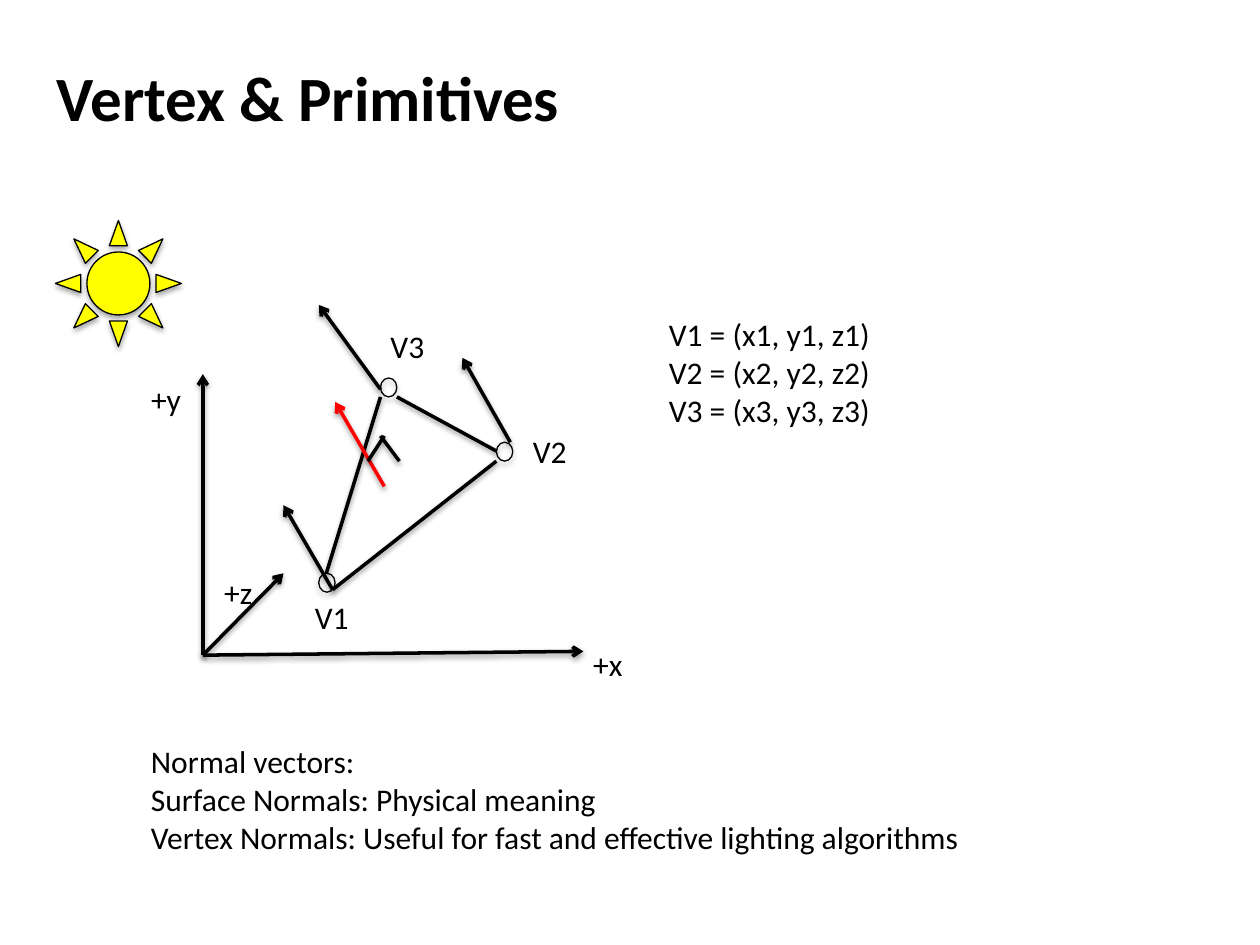
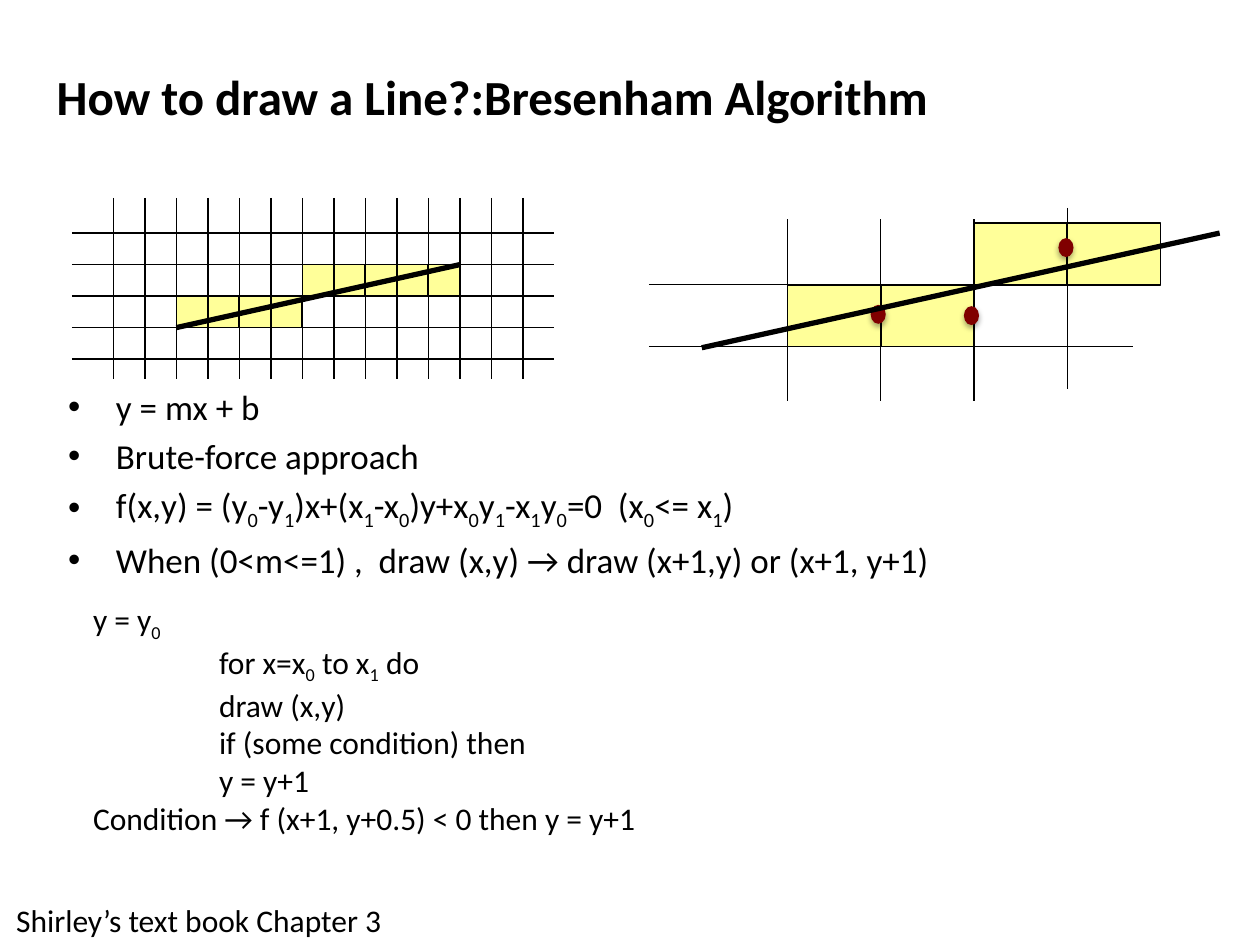
from dataclasses import dataclass

from lxml.etree import SubElement
from pptx import Presentation
from pptx.dml.color import RGBColor
from pptx.enum.shapes import MSO_CONNECTOR, MSO_SHAPE
from pptx.enum.text import MSO_ANCHOR, MSO_AUTO_SIZE, PP_ALIGN
from pptx.oxml.ns import qn
from pptx.util import Inches, Pt


@dataclass(frozen=True)
class Theme:
    font: str = "Calibri"
    ink: str = "000000"
    surface_normal: str = "FF0000"
    sun: str = "FFFF00"
    pixel: str = "FFFF99"
    midpoint: str = "800000"
    title_size: int = 36
    long_title_size: int = 28
    bullet_size: int = 20
    text_size: int = 18
    hairline: float = 0.75
    cell_line: float = 1
    edge_line: float = 2
    bold_line: float = 3


@dataclass(frozen=True)
class Box:
    left: float
    top: float
    width: float
    height: float

    def point(self, x, y):
        return self.left + x, self.top + y

    def inner(self, x, y, width, height):
        return Box(self.left + x, self.top + y, width, height)

    def lengths(self):
        return [Inches(n) for n in (self.left, self.top, self.width, self.height)]


THEME = Theme()
TITLE_BOX = Box(0.35, 0.35, 9, 0.83)


def set_effects(shape, soft_shadow, strength=38, distance=1.6):
    effects = SubElement(shape._element.spPr, qn("a:effectLst"))
    if soft_shadow:
        shadow = SubElement(effects, qn("a:outerShdw"), blurRad=str(Pt(3.1)),
                            dist=str(Pt(distance)), dir="5400000", rotWithShape="0")
        color = SubElement(shadow, qn("a:srgbClr"), val=THEME.ink)
        SubElement(color, qn("a:alpha"), val=str(strength * 1000))


def draw_line(page, start, end, weight, color=THEME.ink, arrow=False, soft_shadow=False):
    ends = [Inches(n) for n in (*start, *end)]
    line = page.shapes.add_connector(MSO_CONNECTOR.STRAIGHT, *ends)
    line.line.color.rgb = RGBColor.from_string(color)
    line.line.width = Pt(weight)
    if arrow:
        SubElement(line.line._get_or_add_ln(), qn("a:tailEnd"), type="arrow")
    set_effects(line, soft_shadow)


def draw_shape(page, kind, box, fill=None, weight=None, soft_shadow=False):
    shape = page.shapes.add_shape(kind, *box.lengths())
    if fill:
        shape.fill.solid()
        shape.fill.fore_color.rgb = RGBColor.from_string(fill)
    else:
        shape.fill.background()
    if weight:
        shape.line.color.rgb = RGBColor.from_string(THEME.ink)
        shape.line.width = Pt(weight)
    else:
        shape.line.fill.background()
    set_effects(shape, soft_shadow, strength=35, distance=1.8)


def format_span(span, size, bold=False):
    span.font.name = THEME.font
    span.font.size = Pt(size)
    span.font.bold = bold
    span.font.color.rgb = RGBColor.from_string(THEME.ink)


def write_formula(para, formula, size):
    first, *rest = formula.split("_")
    pieces = [(first, False)]
    for piece in rest:
        pieces += [(piece[0], True), (piece[1:], False)]
    for text, lowered in pieces:
        if text:
            span = para.add_run()
            span.text = text
            format_span(span, size)
            if lowered:
                span._r.get_or_add_rPr().set("baseline", "-25000")


def write_lines(frame, lines, size):
    for index, line in enumerate(lines):
        para = frame.add_paragraph() if index else frame.paragraphs[0]
        write_formula(para, line, size)


def add_text(page, box, lines, wrap=False):
    frame = page.shapes.add_textbox(*box.lengths()).text_frame
    frame.word_wrap = wrap
    frame.auto_size = MSO_AUTO_SIZE.SHAPE_TO_FIT_TEXT
    write_lines(frame, lines, THEME.text_size)
    return frame


def place(placeholder, box):
    placeholder.left, placeholder.top, placeholder.width, placeholder.height = box.lengths()
    placeholder.text_frame.auto_size = MSO_AUTO_SIZE.NONE
    return placeholder.text_frame


def add_page(deck, layout, title, size):
    page = deck.slides.add_slide(deck.slide_layouts.get_by_name(layout))
    frame = place(page.shapes.title, TITLE_BOX)
    frame.text = title
    frame.vertical_anchor = MSO_ANCHOR.MIDDLE
    para = frame.paragraphs[0]
    para.alignment = PP_ALIGN.LEFT
    format_span(para.runs[0], size, bold=True)
    return page


def add_axes(page, box):
    origin = box.point(0.51, 2.8)
    axes = {
        "+x": ((3.53, 2.77), (3.51, 2.67)),
        "+y": ((0.51, 0.57), (0, 0.57)),
        "+z": ((1.15, 2.15), (0.58, 2.1)),
    }
    for name, (tip, label) in axes.items():
        draw_line(page, origin, box.point(*tip), THEME.edge_line, arrow=True, soft_shadow=True)
        add_text(page, box.inner(*label, 0.48, 0.4), [name])


def add_triangle(page, box):
    vertices = {
        "V1": ((1.43, 2.15), (1.3, 2.3)),
        "V2": ((2.84, 1.11), (3.03, 0.98)),
        "V3": ((1.92, 0.6), (1.9, 0.15)),
    }
    edges = [
        ((1.92, 0.75), (1.49, 2.15)),
        ((2.84, 1.26), (1.54, 2.28)),
        ((2.05, 0.75), (2.84, 1.18)),
    ]
    right_angle = [((1.82, 1.26), (1.95, 1.06)), ((1.92, 1.06), (2.07, 1.26))]
    vertex_normals = [
        ((1.92, 0.69), (1.43, 0.02)),
        ((1.54, 2.28), (1.15, 1.61)),
        ((2.95, 1.11), (2.57, 0.44)),
    ]
    surface_normals = [((1.95, 1.46), (1.56, 0.79))]
    for name, (corner, label) in vertices.items():
        draw_shape(page, MSO_SHAPE.OVAL, box.inner(*corner, 0.13, 0.15),
                   weight=THEME.hairline, soft_shadow=True)
        add_text(page, box.inner(*label, 0.52, 0.4), [name])
    for group, color, arrow in (
        (edges, THEME.ink, False),
        (vertex_normals, THEME.ink, True),
        (surface_normals, THEME.surface_normal, True),
        (right_angle, THEME.ink, False),
    ):
        for start, end in group:
            draw_line(page, box.point(*start), box.point(*end), THEME.edge_line,
                      color, arrow, soft_shadow=True)


def add_pixel_grid(page, box):
    step, left, top = 0.25, 0.33, 0.28
    rows, columns = 5, 14

    def node(column, row):
        return left + column * step, top + row * step

    for column in range(2, 11):
        row = 2 if column < 6 else 1
        draw_shape(page, MSO_SHAPE.RECTANGLE, box.inner(*node(column, row), step, step),
                   THEME.pixel, THEME.cell_line)
    for row in range(rows):
        y = node(0, row)[1]
        draw_line(page, box.point(0, y), box.point(box.width, y), THEME.hairline)
    for column in range(columns):
        x = node(column, 0)[0]
        draw_line(page, box.point(x, 0), box.point(x, box.height), THEME.hairline)
    draw_line(page, box.point(*node(2, 3)), box.point(*node(11, 1)), THEME.bold_line)


def add_close_up(page, box):
    cell_width, cell_height, left, top = 0.74, 0.49, 1.1, 0.12
    row_length, column_length = 3.84, 1.44
    column_tops = [0.09, 0.09, 0.09, 0]
    midpoints = [(1.76, 0.77), (2.5, 0.78), (3.25, 0.24)]
    for column, column_top in enumerate(column_tops):
        x = left + column * cell_width
        y = top + (cell_height if column < 2 else 0)
        draw_shape(page, MSO_SHAPE.RECTANGLE, box.inner(x, y, cell_width, cell_height),
                   THEME.pixel, THEME.cell_line)
        draw_line(page, box.point(x, column_top), box.point(x, column_top + column_length),
                  THEME.hairline)
    for row in (1, 2):
        y = top + row * cell_height
        draw_line(page, box.point(0, y), box.point(row_length, y), THEME.hairline)
    for midpoint in midpoints:
        draw_shape(page, MSO_SHAPE.OVAL, box.inner(*midpoint, 0.12, 0.15),
                   THEME.midpoint, soft_shadow=True)
    draw_line(page, box.point(0.42, 1.11), box.point(box.width, 0.2), THEME.bold_line)


def add_bullets(page, box, lines):
    frame = place(page.placeholders[1], box)
    write_lines(frame, lines, THEME.bullet_size)
    for index, para in enumerate(frame.paragraphs):
        properties = para._p.get_or_add_pPr()
        properties.set("marL", str(Inches(0.38)))
        properties.set("indent", str(-Inches(0.38)))
        SubElement(properties, qn("a:buChar"), char="•")
        para.space_before = Pt(THEME.bullet_size * 0.2 if index else 0)


def add_pseudocode(page, box, lines, indented):
    frame = add_text(page, box, lines, wrap=True)
    for para in frame.paragraphs[indented]:
        para._p.get_or_add_pPr().set("marL", str(Inches(1)))


def build_vertex_page(deck):
    page = add_page(deck, "Title Only", "Vertex & Primitives", THEME.title_size)
    scene = Box(1.1, 2.4, 4, 3.1)
    add_axes(page, scene)
    add_triangle(page, scene)
    draw_shape(page, MSO_SHAPE.SUN, Box(0.44, 1.75, 1, 1), THEME.sun,
               THEME.hairline, soft_shadow=True)
    add_text(page, Box(5.21, 2.45, 2.09, 1.01),
             [f"V{n} = (x{n}, y{n}, z{n})" for n in (1, 2, 3)])
    add_text(page, Box(1.1, 5.84, 7.24, 1.01), [
        "Normal vectors:",
        "Surface Normals: Physical meaning",
        "Vertex Normals: Useful for fast and effective lighting algorithms",
    ])


def build_line_page(deck):
    page = add_page(deck, "Title and Content", "How to draw a Line?:Bresenham Algorithm",
                    THEME.long_title_size)
    add_bullets(page, Box(0.44, 3.01, 9.13, 3.04), [
        "y = mx + b",
        "Brute-force approach",
        "f(x,y) = (y_0-y_1)x+(x_1-x_0)y+x_0y_1-x_1y_0=0  (x_0<= x_1)",
        "When (0<m<=1) ,  draw (x,y) → draw (x+1,y) or (x+1, y+1)",
    ])
    add_pixel_grid(page, Box(0.57, 1.57, 3.83, 1.44))
    add_close_up(page, Box(5.15, 1.65, 4.53, 1.53))
    add_pseudocode(page, Box(0.64, 4.71, 5, 1.92), [
        "y = y_0",
        "for x=x_0 to x_1 do",
        "draw (x,y)",
        "if (some condition) then",
        "y = y+1",
        "Condition → f (x+1, y+0.5) < 0 then y = y+1",
    ], indented=slice(1, 5))
    add_text(page, Box(0.03, 7.1, 3.42, 0.4), ["Shirley’s text book Chapter 3"])


def main():
    deck = Presentation()
    deck.slide_width, deck.slide_height = Inches(10), Inches(7.5)
    build_vertex_page(deck)
    build_line_page(deck)
    deck.save("out.pptx")


if __name__ == "__main__":
    main()
